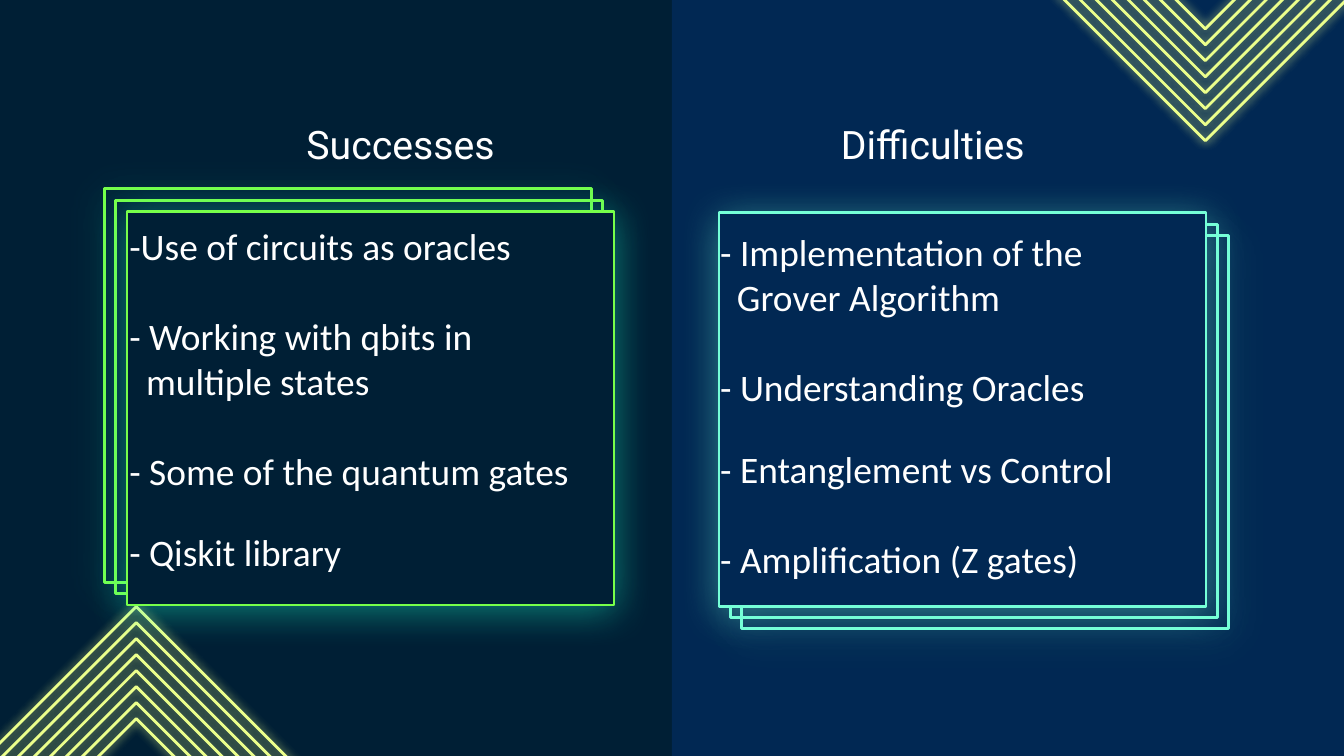
from lxml import etree
from pptx import Presentation
from pptx import util as u
from pptx.dml.color import RGBColor
from pptx.enum import shapes, text
from pptx.oxml.ns import qn

NIGHT, NAVY = "001F35", "012853"
LIME, GREEN, MINT, AQUA = "ECFF8C", "77FF4A", "75FFD7", "1FFFCE"
WHITE = "FFFFFF"


def rgb(value):
    return RGBColor.from_string(value)


def write(p, content, size=20, font="Calibri", color=WHITE, align="LEFT", before=0, indent=0):
    p.alignment = getattr(text.PP_ALIGN, align)
    p.space_before = u.Pt(before)
    if indent:
        p._p.get_or_add_pPr().set("marL", str(u.Pt(indent)))
    r = p.add_run()
    r.text = content
    r.font.size = u.Pt(size)
    r.font.name = font
    r.font.color.rgb = rgb(color)


class Deck:
    line_width = 1.5
    inset = 7.2

    def __init__(self, prs):
        self.s = prs.slides.add_slide(prs.slide_layouts[6])
        self.s.background.fill.solid()
        self.s.background.fill.fore_color.rgb = rgb(NIGHT)

    def paint(self, sp, fill=None, line=None):
        sp.shadow.inherit = False
        if fill:
            sp.fill.solid()
            sp.fill.fore_color.rgb = rgb(fill)
        else:
            sp.fill.background()
        if line:
            sp.line.color.rgb = rgb(line)
            sp.line.width = u.Pt(self.line_width)
        else:
            sp.line.fill.background()

    def glow(self, sp, color, alpha, blur, dist=0):
        effects = sp._element.spPr.find(qn("a:effectLst"))
        shadow = etree.SubElement(effects, qn("a:outerShdw"), blurRad=str(u.Pt(blur)),
                                  dist=str(u.Pt(dist)), dir="5400000", algn="bl", rotWithShape="0")
        clr = etree.SubElement(shadow, qn("a:srgbClr"), val=color)
        etree.SubElement(clr, qn("a:alpha"), val=str(alpha * 1000))

    def rect(self, x, y, w, h, fill=None, line=None):
        sp = self.s.shapes.add_shape(shapes.MSO_SHAPE.RECTANGLE, u.Pt(x), u.Pt(y), u.Pt(w), u.Pt(h))
        self.paint(sp, fill, line)
        return sp

    def diamonds(self, cx, cy, radius=134.2, step=8.57, count=8):
        group = self.s.shapes.add_group_shape()
        for i in range(count):
            d = radius - i * step
            fb = group.shapes.build_freeform(u.Pt(cx + d), u.Pt(cy))
            fb.add_line_segments([(u.Pt(cx), u.Pt(cy - d)), (u.Pt(cx - d), u.Pt(cy)),
                                  (u.Pt(cx), u.Pt(cy + d))], close=True)
            sp = fb.convert_to_shape()
            self.paint(sp, line=LIME)
            self.glow(sp, LIME, 90, 5.6)

    def cards(self, x, y, shift, fill, line, shadow, rotation=0):
        for i in range(3):
            sp = self.rect(x + i * shift, y + i * abs(shift) * (1 if shift > 0 else -1),
                           260.9, 210.7, fill if i == 2 else None, line)
            sp.rotation = rotation
            self.glow(sp, shadow, 38, 21.4, 3)

    def text_box(self, x, y, w, h, rows, bottom=inset, **style):
        tf = self.s.shapes.add_textbox(u.Pt(x), u.Pt(y), u.Pt(w), u.Pt(h)).text_frame
        tf.word_wrap = True
        tf.vertical_anchor = text.MSO_ANCHOR.MIDDLE
        tf.margin_left = tf.margin_right = tf.margin_top = u.Pt(self.inset)
        tf.margin_bottom = u.Pt(bottom)
        for i, (content, before, indent) in enumerate(rows):
            p = tf.add_paragraph() if i else tf.paragraphs[0]
            write(p, content, before=before, indent=indent, **style)

    def heading(self, x, content):
        self.text_box(x, 66.2, 229, 21.6, [(content, 0, 0)], size=21, font="Roboto", align="CENTER")


def main():
    prs = Presentation()
    prs.slide_width, prs.slide_height = u.Pt(720), u.Pt(405)
    deck = Deck(prs)
    deck.rect(360, 0, 360, 405, NAVY)
    deck.diamonds(645.7, -58.8)
    deck.diamonds(73, 459.2)

    wide, narrow, hang = 24.4, 19.5, 9
    deck.cards(397.4, 126.2, -6.1, NAVY, MINT, MINT, rotation=180)
    deck.heading(385.2, "Difficulties")
    deck.cards(55.9, 101.2, 6.1, NIGHT, GREEN, AQUA)
    deck.text_box(62.2, 134.6, 288, 182.2, [
        ("-Use of circuits as oracles", 0, 0),
        ("- Working with qbits in", wide, 0),
        ("multiple states", 0, hang),
        ("- Some of the quantum gates", wide, 0),
        ("- Qiskit library", narrow, 0),
    ], bottom=31.6)
    deck.heading(100.1, "Successes")
    deck.text_box(378.7, 91.4, 286.6, 251.3, [
        ("- Implementation of the", 0, 0),
        ("Grover Algorithm", 0, hang),
        ("- Understanding Oracles", wide, 0),
        ("- Entanglement vs Control", narrow, 0),
        ("- Amplification (Z gates)", wide, 0),
    ])
    prs.save("out.pptx")


if __name__ == "__main__":
    main()
